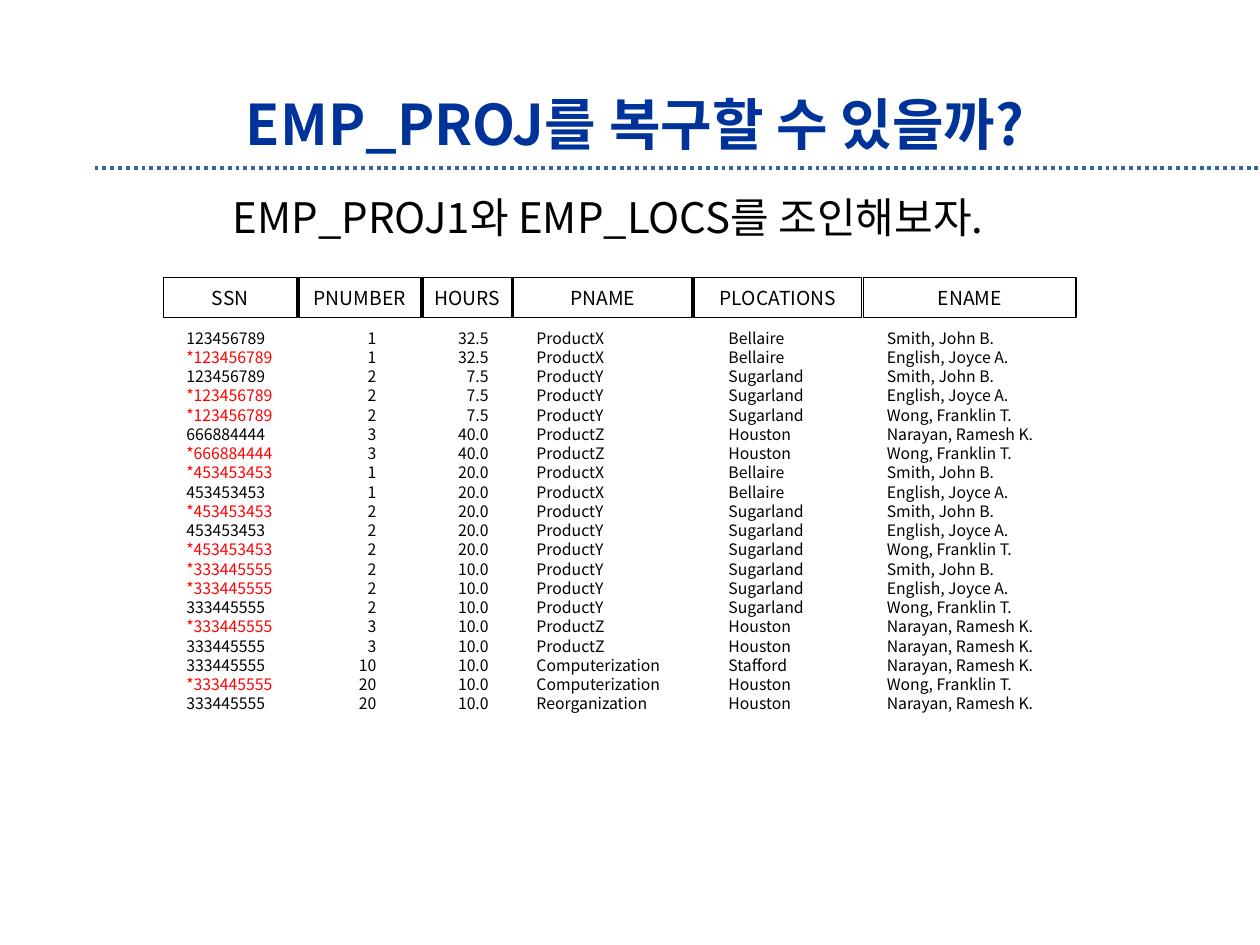
from pptx import Presentation
from pptx.dml.color import RGBColor
from pptx.enum.dml import MSO_LINE
from pptx.enum.shapes import MSO_CONNECTOR, MSO_SHAPE
from pptx.enum.text import MSO_ANCHOR, PP_ALIGN
from pptx.oxml.ns import qn
from pptx.util import Pt

FONT = "Noto Sans CJK KR"
BLACK = RGBColor(0, 0, 0)
RED = RGBColor(0xFF, 0, 0)
NAVY = RGBColor(0, 0x33, 0x99)
STEEL = RGBColor(0x33, 0x66, 0x99)
LEFT, MID, RIGHT = PP_ALIGN.LEFT, PP_ALIGN.CENTER, PP_ALIGN.RIGHT

# Heading, its left and width, then left, width and alignment of the values
COLUMNS = [
    ("SSN", 93.4, 76.4, 99.4, 71.2, LEFT),
    ("PNUMBER", 170.7, 69.8, 189.7, 32.4, RIGHT),
    ("HOURS", 241.8, 50.6, 240.9, 45.4, RIGHT),
    ("PNAME", 293.4, 102.2, 299.5, 96.5, LEFT),
    ("PLOCATIONS", 396.7, 95.6, 409.2, 71.2, LEFT),
    ("ENAME", 493.4, 121.7, 499.7, 116, LEFT),
]
SMITH, ENGLISH = "Smith, John B.", "English, Joyce A."
WONG, NARAYAN = "Wong, Franklin T.", "Narayan, Ramesh K."
X = ("ProductX", "Bellaire")
Y = ("ProductY", "Sugarland")
Z = ("ProductZ", "Houston")

# A star marks a spurious tuple
ROWS = [
    ("123456789", "1", "32.5", *X, SMITH),
    ("*123456789", "1", "32.5", *X, ENGLISH),
    ("123456789", "2", "7.5", *Y, SMITH),
    ("*123456789", "2", "7.5", *Y, ENGLISH),
    ("*123456789", "2", "7.5", *Y, WONG),
    ("666884444", "3", "40.0", *Z, NARAYAN),
    ("*666884444", "3", "40.0", *Z, WONG),
    ("*453453453", "1", "20.0", *X, SMITH),
    ("453453453", "1", "20.0", *X, ENGLISH),
    ("*453453453", "2", "20.0", *Y, SMITH),
    ("453453453", "2", "20.0", *Y, ENGLISH),
    ("*453453453", "2", "20.0", *Y, WONG),
    ("*333445555", "2", "10.0", *Y, SMITH),
    ("*333445555", "2", "10.0", *Y, ENGLISH),
    ("333445555", "2", "10.0", *Y, WONG),
    ("*333445555", "3", "10.0", *Z, NARAYAN),
    ("333445555", "3", "10.0", *Z, NARAYAN),
    ("333445555", "10", "10.0", "Computerization", "Stafford", NARAYAN),
    ("*333445555", "20", "10.0", "Computerization", "Houston", WONG),
    ("333445555", "20", "10.0", "Reorganization", "Houston", NARAYAN),
]


def write(para, text, size, color=BLACK, align=LEFT, bold=False):
    para.alignment = align
    run = para.add_run()
    run.text = text
    run.font.name = FONT
    run.font.size = Pt(size)
    run.font.bold = bold
    run.font.color.rgb = color


def add_box(shapes, left, top, width, height, wrap=True):
    box = shapes.add_textbox(Pt(left), Pt(top), Pt(width), Pt(height))
    frame = box.text_frame
    frame.word_wrap = wrap
    return frame


def add_rule(shapes, left, top, width):
    rule = shapes.add_connector(
        MSO_CONNECTOR.STRAIGHT, Pt(left), Pt(top), Pt(left + width), Pt(top))
    rule.line.color.rgb = STEEL
    rule.line.width = Pt(2.25)
    rule.line.dash_style = MSO_LINE.ROUND_DOT
    props = rule._element.spPr
    props.append(props.makeelement(qn("a:effectLst"), {}))


def add_title(shapes, left, top, width, height):
    frame = add_box(shapes, left, top, width, height)
    frame.vertical_anchor = MSO_ANCHOR.MIDDLE
    write(frame.paragraphs[0], "EMP_PROJ를 복구할 수 있을까?", 32, NAVY, MID, True)


def add_lead(shapes, left, top, width, height):
    frame = add_box(shapes, left, top, width, height, wrap=False)
    write(frame.paragraphs[0], "EMP_PROJ1와 EMP_LOCS를 조인해보자.", 24)


def add_head(shapes, text, left, top, width, height):
    cell = shapes.add_shape(
        MSO_SHAPE.RECTANGLE, Pt(left), Pt(top), Pt(width), Pt(height))
    cell.shadow.inherit = False
    cell.fill.background()
    cell.line.color.rgb = BLACK
    cell.line.width = Pt(1)
    cell.text_frame.word_wrap = False
    cell.text_frame.vertical_anchor = MSO_ANCHOR.MIDDLE
    write(cell.text_frame.paragraphs[0], text, 11, align=MID)


def add_values(shapes, values, align, left, top, width, height):
    frame = add_box(shapes, left, top, width, height)
    for i, value in enumerate(values):
        para = frame.add_paragraph() if i else frame.paragraphs[0]
        para.line_spacing = 0.6
        if i:
            para.space_before = Pt(4.5)
        write(para, value, 9, RED if value.startswith("*") else BLACK, align)


def add_join(shapes, top, height):
    """Headed columns of the joined relation, in one group."""
    group = shapes.add_group_shape().shapes
    head, gap = 23, 6.4
    body = head + gap
    for column, values in zip(COLUMNS, zip(*ROWS)):
        name, left, width, start, room, align = column
        add_head(group, name, left, top, width, head)
        add_values(group, values, align, start, top + body, room, height - body)


def main():
    deck = Presentation()
    deck.slide_width, deck.slide_height = Pt(720), Pt(540)
    shapes = deck.slides.add_slide(deck.slide_layouts[6]).shapes
    add_rule(shapes, 54, 96, 666)
    add_join(shapes, 158.5, 271.4)
    add_title(shapes, 54, 49.6, 618, 42)
    add_lead(shapes, 126, 106, 474, 36)
    deck.save("out.pptx")


if __name__ == "__main__":
    main()
